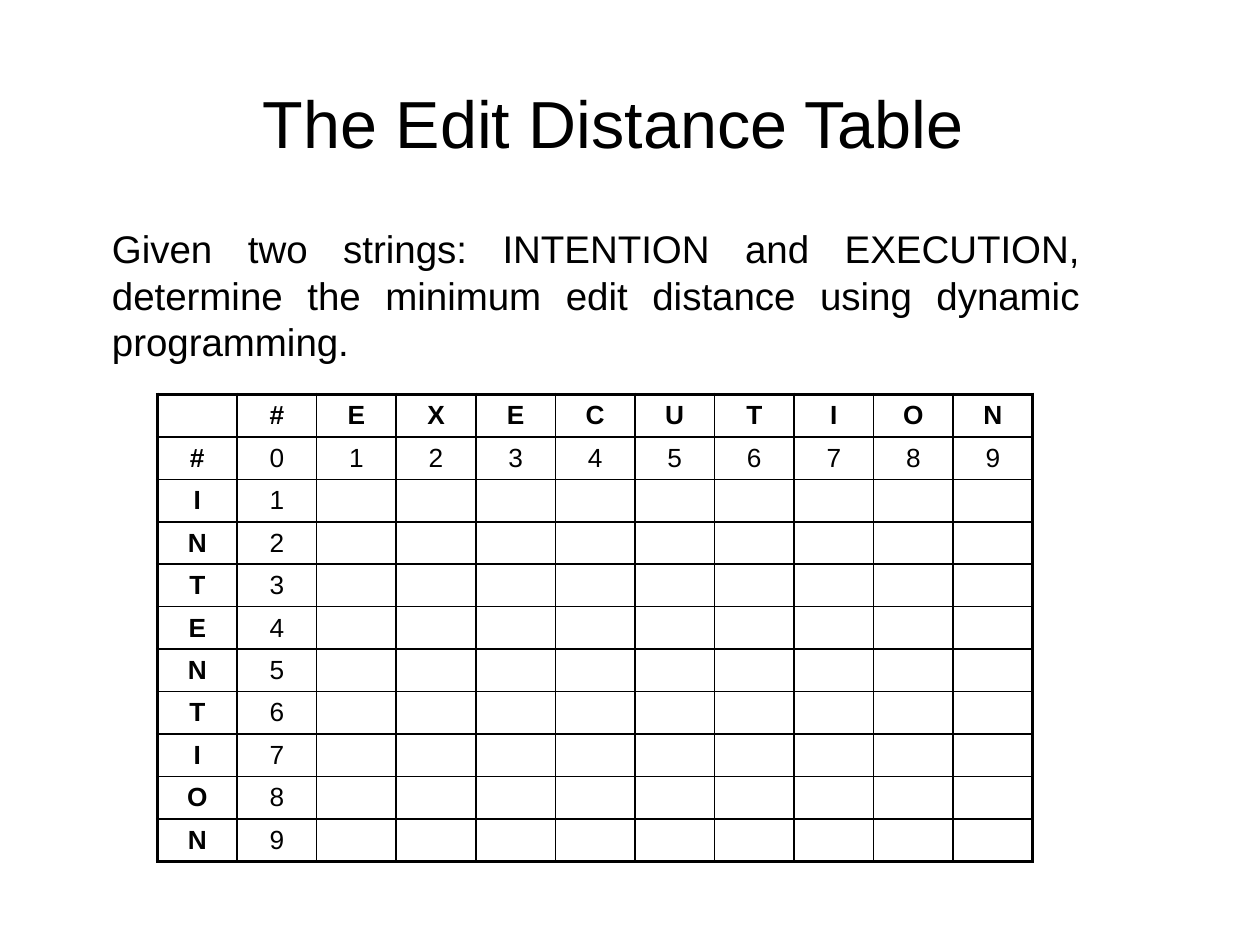
from dataclasses import dataclass

from lxml import etree
from pptx import Presentation
from pptx import util as u
from pptx.dml.color import RGBColor
from pptx.enum import text
from pptx.oxml import ns

COLOURS = {"ink": "000000", "paper": "FFFFFF"}
FONT = "Arial"
SOURCE = "#INTENTION"
TARGET = "#EXECUTION"
THIN, THICK = 1, 2.25


@dataclass
class TextBlock:
    words: str
    left: float
    top: float
    width: float
    height: float
    size: float
    align: text.PP_ALIGN
    anchor: text.MSO_ANCHOR
    line_spacing: float = 1.0


BLOCKS = [
    TextBlock("The Edit Distance Table", 0.15, 0.47, 9.44, 1.09, 38,
              text.PP_ALIGN.CENTER, text.MSO_ANCHOR.MIDDLE, 0.85),
    TextBlock("Given two strings: INTENTION and EXECUTION, determine the minimum "
              "edit distance using dynamic programming.", 0.79, 1.74, 7.88, 1.21, 22,
              text.PP_ALIGN.JUSTIFY, text.MSO_ANCHOR.TOP),
]


def style_paragraph(para, size: float, align: text.PP_ALIGN, bold: bool = False) -> None:
    para.alignment = align
    para.font.name = FONT
    para.font.size = u.Pt(size)
    para.font.bold = bold
    para.font.color.rgb = RGBColor.from_string(COLOURS["ink"])


def add_text(page, block: TextBlock) -> None:
    box = page.shapes.add_textbox(u.Inches(block.left), u.Inches(block.top),
                                  u.Inches(block.width), u.Inches(block.height))
    frame = box.text_frame
    frame.word_wrap = True
    frame.vertical_anchor = block.anchor
    para = frame.paragraphs[0]
    para.text = block.words
    para.line_spacing = block.line_spacing
    style_paragraph(para, block.size, block.align)


def set_borders(cell, widths: dict[str, float]) -> None:
    properties = cell._tc.get_or_add_tcPr()
    for index, (side, width) in enumerate(widths.items()):
        line = etree.Element(ns.qn(f"a:ln{side}"), w=str(u.Pt(width)))
        fill = etree.SubElement(line, ns.qn("a:solidFill"))
        etree.SubElement(fill, ns.qn("a:srgbClr"), val=COLOURS["ink"])
        properties.insert(index, line)


def cell_label(row: int, column: int) -> str:
    if row == 0:
        return TARGET[column - 1] if column else ""
    if column == 0:
        return SOURCE[row - 1]
    return str(row + column - 2) if 1 in (row, column) else ""


def add_distance_table(page) -> None:
    rows, columns = len(SOURCE) + 1, len(TARGET) + 1
    frame = page.shapes.add_table(rows, columns, u.Inches(1.25), u.Inches(3.13),
                                  u.Inches(6.95), u.Inches(3.71))
    table = frame.table
    table.first_row = table.horz_banding = False
    for row in range(rows):
        for column in range(columns):
            cell = table.cell(row, column)
            label = cell_label(row, column)
            cell.text = label
            cell.vertical_anchor = text.MSO_ANCHOR.MIDDLE
            cell.margin_left = cell.margin_right = u.Inches(0.1)
            cell.margin_top = cell.margin_bottom = u.Inches(0.04 if label else 0)
            style_paragraph(cell.text_frame.paragraphs[0], 15,
                            text.PP_ALIGN.CENTER, 0 in (row, column))
            cell.fill.solid()
            cell.fill.fore_color.rgb = RGBColor.from_string(COLOURS["paper"])
            set_borders(cell, {
                "L": THICK if column == 0 else THIN,
                "R": THICK if column == columns - 1 else THIN,
                "T": THICK if row == 0 else THIN,
                "B": THICK if row == rows - 1 else THIN,
            })


def main() -> None:
    """Build the edit distance table slide."""
    deck = Presentation()
    deck.slide_width, deck.slide_height = u.Inches(10), u.Inches(7.5)
    page = deck.slides.add_slide(deck.slide_layouts[6])
    add_distance_table(page)
    for block in BLOCKS:
        add_text(page, block)
    deck.save("out.pptx")


if __name__ == "__main__":
    main()
